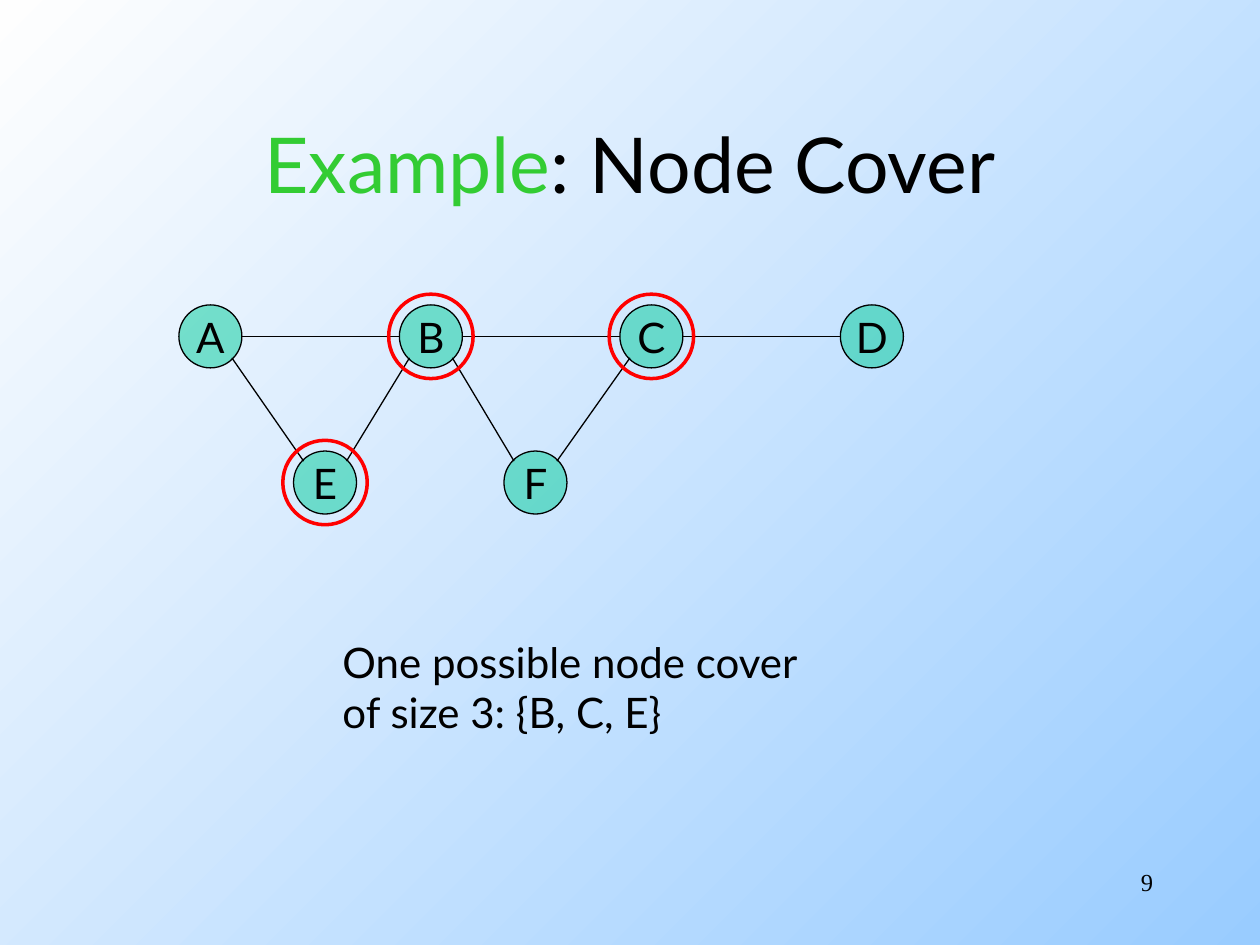
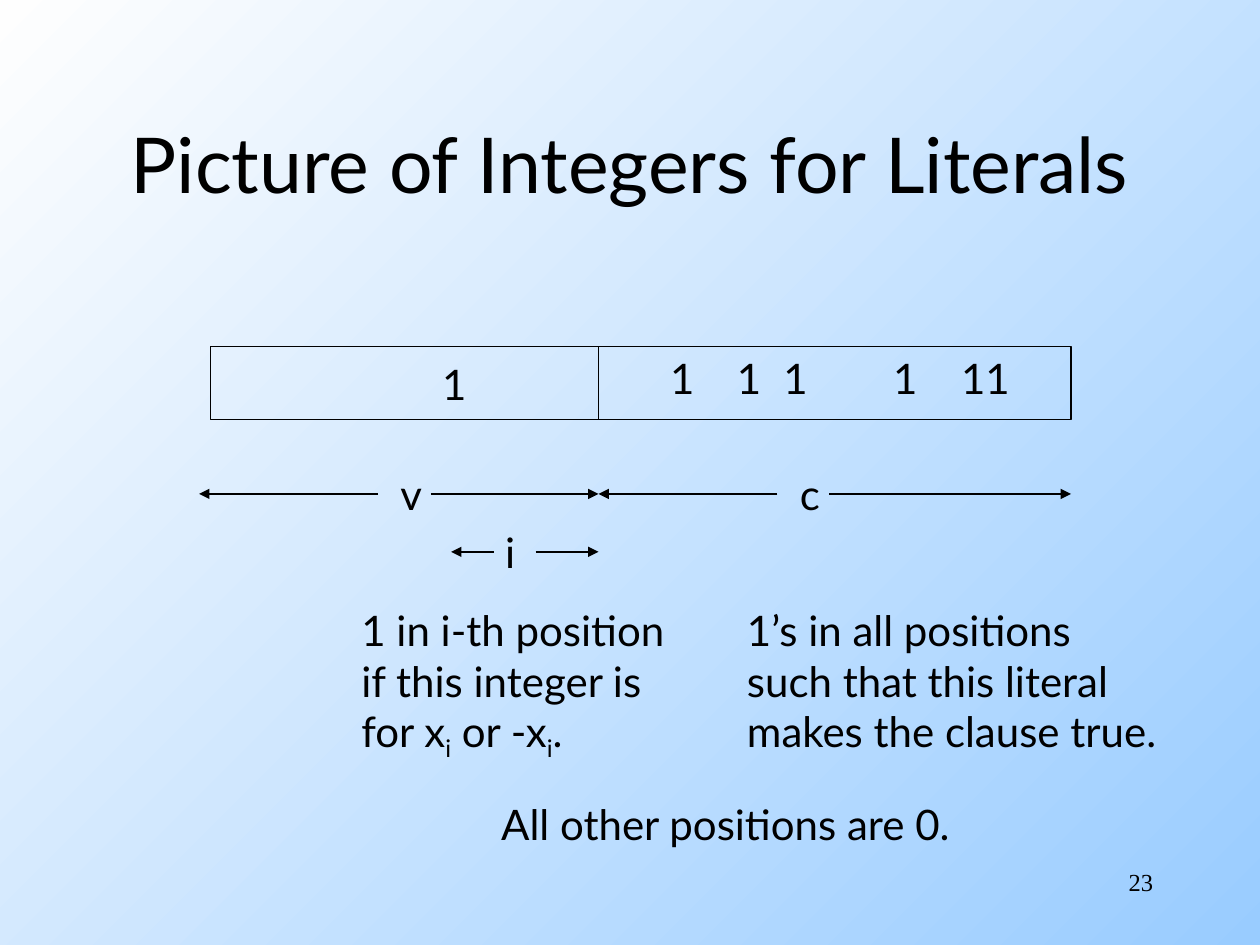
"""Build two slides: a node cover example and the integers for literals."""
from lxml.etree import SubElement
from pptx import Presentation
from pptx.dml.color import RGBColor
from pptx.enum.shapes import MSO_CONNECTOR, MSO_SHAPE
from pptx.enum.text import MSO_ANCHOR, MSO_AUTO_SIZE, PP_ALIGN
from pptx.oxml.ns import qn
from pptx.util import Inches, Pt

COLORS = {"black": "000000", "green": "33CC33", "node": "00CC99",
          "cover": "FF0000", "deep": "99CCFF", "pale": "FEFEFE"}
TITLE = {"name": "Lato", "size": Pt(44)}
BODY = {"name": "Lato", "size": Pt(24)}
NUMBER = {"name": "Times New Roman", "size": Pt(14)}

COVER_TITLE = [("Example", "green"), (": Node Cover", "black")]
NODES = {"A": (1.67, 2.67), "B": (3.42, 2.67), "C": (5.17, 2.67),
         "D": (6.92, 2.67), "E": (2.58, 3.83), "F": (4.25, 3.83)}
EDGES = ["AB", "CD", "BC", "AE", "BF", "BE", "CF"]
COVER = "EBC"
NODE_SIZE, RING_SIZE, DIAGONAL_REACH = 0.5, 0.67, 0.17
COVER_TEXTS = [((2.62, 5, 4.06, 0.9),
                ["One possible node cover", "of size 3: {B, C, E}"])]

LITERAL_TITLE = [("Picture of Integers for Literals", "black")]
INTEGER_BOX = (1.67, 2.75, 6.83, 0.58)
SPLIT = 4.75
SPANS = [(3.92, [(3, 1.58), (3.42, SPLIT), (6.17, SPLIT), (6.58, 8.5)]),
         (4.38, [(3.92, 3.58), (4.25, SPLIT)])]
LITERAL_TEXTS = [
    ((3.08, 3.67, 0.37, 0.5), ["v"]),
    ((6.25, 3.67, 0.36, 0.5), ["c"]),
    ((3.91, 4.13, 0.28, 0.5), ["i"]),
    ((3.41, 2.8, 0.39, 0.5), ["1"]),
    ((2.77, 4.75, 2.73, 1.36),
     ["1 in i-th position", "if this integer is",
      [("for x", "black"), ("i", "subscript"), (" or -x", "black"),
       ("i", "subscript"), (".", "black")]]),
    ((5.83, 4.75, 3.72, 1.3),
     ["1’s in all positions", "such that this literal", "makes the clause true."]),
    ((3.88, 6.29, 4, 0.5), ["All other positions are 0."]),
]
CLAUSE_BOX = (5.22, 2.75, 3.2, 0.5)
CLAUSE_ONES = ["1", "1", "1", "1", "11"]
CLAUSE_TABS = [0.53, 0.9, 1.77, 2.31]


def rgb(name):
    return RGBColor.from_string(COLORS[name])


def inches(values):
    return [Inches(value) for value in values]


def write(frame, paragraphs, style, align=PP_ALIGN.LEFT, wrap=True, anchor=MSO_ANCHOR.TOP):
    """Fill a text frame with plain strings or lists of (text, look) spans."""
    layout = {"word_wrap": wrap, "vertical_anchor": anchor, "auto_size": MSO_AUTO_SIZE.NONE}
    for key, value in layout.items():
        setattr(frame, key, value)
    for index, content in enumerate(paragraphs):
        para = frame.add_paragraph() if index else frame.paragraphs[0]
        para.alignment = align
        for text, look in [(content, "black")] if isinstance(content, str) else content:
            span = para.add_run()
            span.text = text
            for key, value in style.items():
                setattr(span.font, key, value)
            span.font.color.rgb = rgb("black" if look == "subscript" else look)
            if look == "subscript":
                span._r.get_or_add_rPr().set("baseline", "-25000")


def add_text(page, place, paragraphs, style=BODY, align=PP_ALIGN.LEFT):
    box = page.shapes.add_textbox(*inches(place))
    write(box.text_frame, paragraphs, style, align)
    return box


def add_outline(page, kind, place, color="black", width=0.75):
    shape = page.shapes.add_shape(kind, *inches(place))
    shape.shadow.inherit = False
    shape.fill.background()
    shape.line.color.rgb = rgb(color)
    shape.line.width = Pt(width)
    return shape


def add_circle(page, center, size, color="black", width=0.75):
    left, top = (value - size / 2 for value in center)
    return add_outline(page, MSO_SHAPE.OVAL, (left, top, size, size), color, width)


def add_line(page, start, end, arrow=False):
    line = page.shapes.add_connector(MSO_CONNECTOR.STRAIGHT, *inches((*start, *end)))
    line.line.color.rgb = rgb("black")
    line.line.width = Pt(0.75)
    if arrow:
        SubElement(line.line._get_or_add_ln(), qn("a:tailEnd"), type="triangle")
    SubElement(line._element.spPr, qn("a:effectLst"))


def add_page(deck, title, place, number, texts):
    page = deck.slides.add_slide(deck.slide_layouts[5])
    heading = page.shapes.title
    for key, value in zip(("left", "top", "width", "height"), inches(place)):
        setattr(heading, key, value)
    write(heading.text_frame, [title], TITLE, PP_ALIGN.CENTER, anchor=MSO_ANCHOR.MIDDLE)
    for text_place, paragraphs in texts:
        add_text(page, text_place, paragraphs)
    add_text(page, (7.17, 6.83, 2.08, 0.5), [str(number)], NUMBER, PP_ALIGN.RIGHT)
    return page


def add_edge(page, first, second):
    (x1, y1), (x2, y2) = NODES[first], NODES[second]
    reach_x, reach_y = (NODE_SIZE / 2, 0) if y1 == y2 else (DIAGONAL_REACH, DIAGONAL_REACH)
    if x2 < x1:
        reach_x = -reach_x
    add_line(page, (x1 + reach_x, y1 + reach_y), (x2 - reach_x, y2 - reach_y))


def draw_graph(page):
    for name, center in NODES.items():
        node = add_circle(page, center, NODE_SIZE)
        node.fill.solid()
        node.fill.fore_color.rgb = rgb("node")
        fill_color = node._element.spPr.find(qn("a:solidFill"))[0]
        SubElement(fill_color, qn("a:alpha"), val="50000")
        write(node.text_frame, [name], BODY, PP_ALIGN.CENTER, False, MSO_ANCHOR.MIDDLE)
    for first, second in EDGES:
        add_edge(page, first, second)
    for name in COVER:
        add_circle(page, NODES[name], RING_SIZE, "cover", 2)


def draw_integer(page):
    add_outline(page, MSO_SHAPE.RECTANGLE, INTEGER_BOX)
    top, height = INTEGER_BOX[1], INTEGER_BOX[3]
    add_line(page, (SPLIT, top), (SPLIT, top + height))
    for y, arrows in SPANS:
        for start, end in arrows:
            add_line(page, (start, y), (end, y), arrow=True)
    box = add_text(page, CLAUSE_BOX, ["\t".join(CLAUSE_ONES)])
    properties = box.text_frame.paragraphs[0]._p.get_or_add_pPr()
    tabs = SubElement(properties, qn("a:tabLst"))
    for position in CLAUSE_TABS:
        SubElement(tabs, qn("a:tab"), pos=str(Inches(position)), algn="l")


def main():
    deck = Presentation()
    deck.slide_width, deck.slide_height = Inches(10), Inches(7.5)
    fill = deck.slide_master.background.fill
    fill.gradient()
    fill.gradient_angle = 135
    for stop, color in zip(fill.gradient_stops, ("deep", "pale")):
        stop.color.rgb = rgb(color)
    draw_graph(add_page(deck, COVER_TITLE, (0.75, 0.67, 8.5, 1.25), 9, COVER_TEXTS))
    draw_integer(add_page(deck, LITERAL_TITLE, (0, 0.67, 10, 1.25), 23, LITERAL_TEXTS))
    deck.save("out.pptx")


if __name__ == "__main__":
    main()
